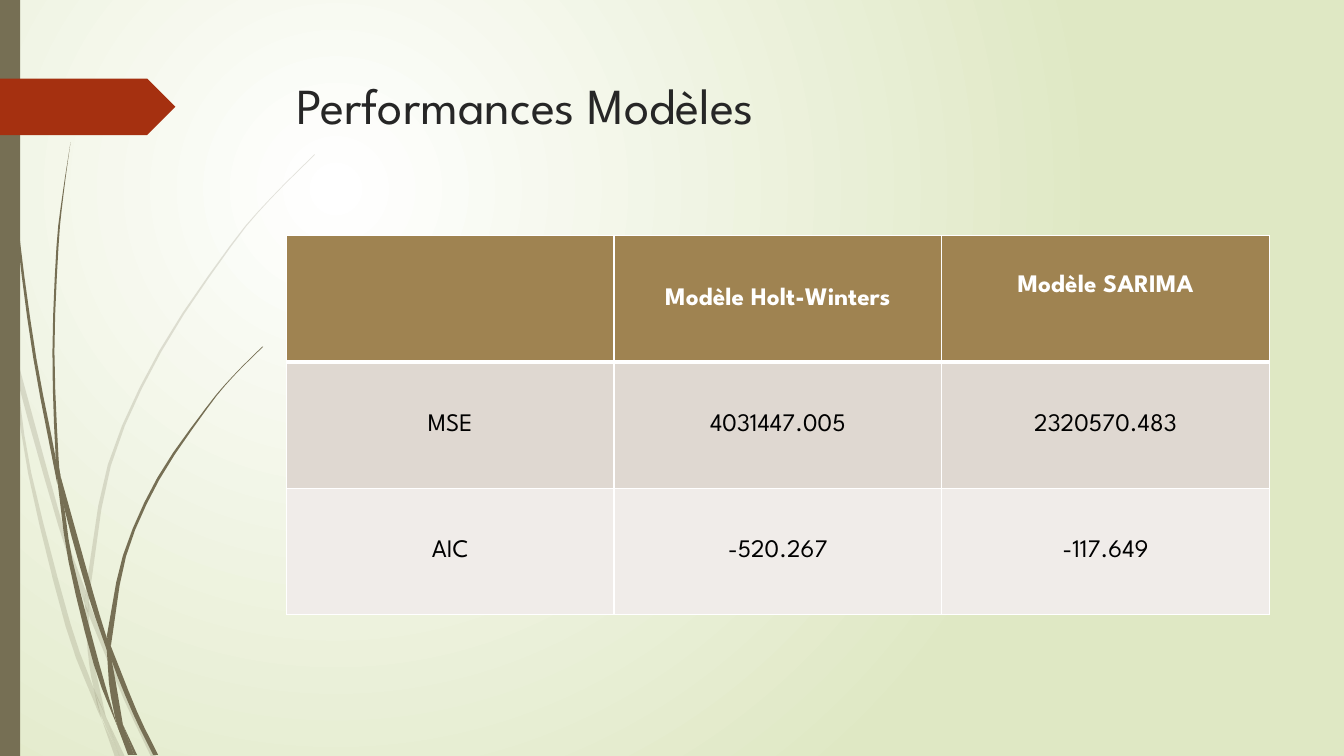
from lxml import etree
from pptx import Presentation
from pptx.dml.color import RGBColor
from pptx.enum.shapes import MSO_SHAPE
from pptx.enum.text import MSO_ANCHOR, PP_ALIGN
from pptx.oxml.ns import qn
from pptx.util import Inches, Pt

RECTANGLE, PENTAGON = MSO_SHAPE.RECTANGLE, MSO_SHAPE.PENTAGON
TOP, MIDDLE = MSO_ANCHOR.TOP, MSO_ANCHOR.MIDDLE
LEFT, CENTER = PP_ALIGN.LEFT, PP_ALIGN.CENTER

# Content
TITLE = "Performances Modèles"
ROWS = [
    ("", "Modèle Holt-Winters", "Modèle SARIMA"),
    ("MSE", "4031447.005", "2320570.483"),
    ("AIC", "-520.267", "-117.649"),
]
FONT = "League Spartan"
COLORS = {
    "glow": "FFFFFF", "meadow": "DFE8C4", "grass": "766F54", "tab": "A53010",
    "title": "262626", "header": "9F8351", "band": "DFD8D1", "plain": "F0ECE9",
    "line": "FFFFFF", "header text": "FFFFFF", "body text": "000000",
}
ROW_FILLS = ["header", "band", "plain"]

# Grass segments in inches: one edge, then the other, both running downwards
PALE_GRASS = [
    ([(0, 2.82), (0.09, 3.22), (0.11, 3.5)], [(0, 2.99), (0.1, 3.44), (0.11, 3.5)]),
    ([(0.14, 3.45), (0.62, 5.2), (0.85, 5.86)],
     [(0.14, 3.45), (0.17, 3.76), (0.58, 5.22), (0.84, 5.99)]),
    ([(0.88, 5.96), (0.92, 6.07), (1.27, 6.92), (1.55, 7.51)],
     [(0.88, 6.1), (1.23, 6.94), (1.5, 7.51)]),
    ([(1.05, 7.11), (1.24, 7.51)], [(1.05, 7.11), (1.19, 7.51)]),
    ([(0.11, 3.5), (0.17, 3.76), (0.31, 4.69), (0.7, 6.19), (0.93, 6.83), (1.01, 7.14)],
     [(0.11, 3.5), (0.28, 4.7), (0.65, 6.21), (0.92, 6.93), (1.01, 7.14)]),
    ([(0.84, 5.99), (0.87, 6.46), (0.93, 6.83), (1.05, 7.11)],
     [(0.84, 5.99), (0.88, 6.1), (0.91, 6.46), (1.05, 7.11)]),
    ([(3.12, 1.53), (2.68, 1.97), (2.28, 2.44), (1.58, 3.48), (1.07, 4.61), (0.85, 5.86)],
     [(3.12, 1.54), (2.68, 1.98), (2.29, 2.45), (1.6, 3.49), (1.1, 4.62), (0.88, 5.96)]),
    ([(1.01, 7.14), (1.14, 7.51)], [(1.01, 7.14), (1.19, 7.51)]),
    ([(0.85, 5.86), (0.84, 5.99), (0.88, 6.1)], [(0.85, 5.86), (0.88, 5.96), (0.88, 6.1)]),
    ([(0.93, 6.83), (0.99, 7.07), (1.19, 7.51)], [(0.93, 6.83), (1.05, 7.11), (1.19, 7.51)]),
]
DARK_GRASS = [
    ([(0.03, 0), (0.07, 1.1), (0.17, 2.33), (0.33, 3.55), (0.57, 4.81)],
     [(0.04, 0), (0.08, 1.09), (0.19, 2.32), (0.36, 3.55), (0.55, 4.53), (0.57, 4.81)]),
    ([(0.6, 4.72), (0.93, 5.9), (1.06, 6.33)],
     [(0.6, 4.72), (0.64, 5.05), (0.88, 5.92), (1.06, 6.45)]),
    ([(1.1, 6.41), (1.36, 7.06), (1.57, 7.49)],
     [(1.1, 6.41), (1.11, 6.56), (1.32, 7.08), (1.52, 7.49)]),
    ([(0.57, 4.77), (0.64, 5.05), (0.72, 5.56), (0.98, 6.57), (1.17, 7.22)],
     [(0.57, 4.77), (0.68, 5.57), (0.93, 6.59), (1.17, 7.22)]),
    ([(0.7, 1.41), (0.62, 1.93), (0.56, 2.45), (0.52, 3.49), (0.55, 4.49), (0.6, 4.72)],
     [(0.7, 1.41), (0.63, 1.93), (0.58, 2.45), (0.54, 3.49), (0.58, 4.53), (0.6, 4.72)]),
    ([(1.22, 7.19), (1.33, 7.49)], [(1.22, 7.19), (1.36, 7.49)]),
    ([(0.55, 4.49), (0.57, 4.77), (0.64, 5.05)], [(0.55, 4.49), (0.6, 4.72), (0.64, 5.05)]),
    ([(2.6, 3.44), (2.31, 3.73), (2.04, 4.05), (1.56, 4.74), (1.22, 5.51), (1.06, 6.31)],
     [(2.61, 3.44), (2.31, 3.74), (2.05, 4.06), (1.58, 4.76), (1.25, 5.52), (1.1, 6.41)]),
    ([(1.17, 7.22), (1.27, 7.49)], [(1.17, 7.22), (1.31, 7.49)]),
    ([(1.06, 6.45), (1.1, 6.91), (1.22, 7.19)], [(1.06, 6.45), (1.11, 6.56), (1.22, 7.19)]),
    ([(1.06, 6.31), (1.06, 6.45), (1.11, 6.56)], [(1.06, 6.31), (1.1, 6.41), (1.11, 6.56)]),
    ([(1.1, 6.91), (1.17, 7.22), (1.3, 7.49)], [(1.1, 6.91), (1.22, 7.19), (1.33, 7.49)]),
]

# Layout in inches
WIDTH, HEIGHT = 13.33, 7.5
CONTENT_LEFT, CONTENT_WIDTH = 2.84, 9.75
TITLE_TOP, TITLE_HEIGHT = 0.69, 1.4
TABLE_TOP, TABLE_HEIGHT = 2.34, 3.76
STEPS = 3


def rgb(name):
    return RGBColor.from_string(COLORS[name])


def write(frame, text, size=18, color="body text", bold=False, align=CENTER):
    paragraph = frame.paragraphs[0]
    paragraph.alignment = align
    run = paragraph.add_run()
    run.text = text
    run.font.name, run.font.size, run.font.bold = FONT, Pt(size), bold
    run.font.color.rgb = rgb(color)


def paint(shape, color, opacity=100):
    shape.shadow.inherit = False
    shape.fill.solid()
    shape.fill.fore_color.rgb = rgb(color)
    shape.line.fill.background()
    if opacity < 100:
        tint = shape._element.spPr.find(qn("a:solidFill"))[0]
        etree.SubElement(tint, qn("a:alpha"), val=str(opacity * 1000))


def mirror(point, center):
    return tuple(2 * c - p for p, c in zip(point, center))


def smooth_edge(points):
    """Run a Catmull-Rom curve through the points; two points stay straight."""
    if len(points) == 2:
        return points
    padded = [mirror(points[1], points[0]), *points, mirror(points[-2], points[-1])]
    curve = [points[0]]
    for a, b, c, d in zip(padded, padded[1:], padded[2:], padded[3:]):
        for step in range(1, STEPS + 1):
            t = step / STEPS
            curve.append(tuple(
                0.5 * (2 * q + (r - p) * t + (2 * p - 5 * q + 4 * r - s) * t ** 2
                       + (3 * q - p - 3 * r + s) * t ** 3)
                for p, q, r, s in zip(a, b, c, d)))
    return curve


def add_blade(slide, first_edge, second_edge, opacity):
    outline = smooth_edge(first_edge) + smooth_edge(second_edge)[::-1]
    points = [(Inches(x), Inches(y)) for x, y in outline]
    builder = slide.shapes.build_freeform(*points[0])
    builder.add_line_segments(points[1:], close=True)
    paint(builder.convert_to_shape(), "grass", opacity)


def set_borders(cell, **widths):
    properties = cell._tc.get_or_add_tcPr()
    for index, (side, width) in enumerate(widths.items()):
        line = etree.Element(qn(f"a:ln{side}"), w=str(Pt(width)))
        fill = etree.SubElement(line, qn("a:solidFill"))
        etree.SubElement(fill, qn("a:srgbClr"), val=COLORS["line"])
        properties.insert(index, line)


def set_background(slide):
    fill = slide.background.fill
    fill.gradient()
    for stop, position, color in zip(fill.gradient_stops, (0, 1), ("glow", "meadow")):
        stop.position = position
        stop.color.rgb = rgb(color)
    gradient = slide.background._cSld.find(".//" + qn("a:gradFill"))
    circle = etree.Element(qn("a:path"), path="circle")
    etree.SubElement(circle, qn("a:fillToRect"), l="50000", t="50000", r="100000", b="100000")
    gradient.replace(gradient.find(qn("a:lin")), circle)


def add_table(slide):
    table = slide.shapes.add_table(
        len(ROWS), len(ROWS[0]), Inches(CONTENT_LEFT), Inches(TABLE_TOP),
        Inches(CONTENT_WIDTH), Inches(TABLE_HEIGHT)).table
    for row, values in enumerate(ROWS):
        header = row == 0
        for column, text in enumerate(values):
            cell = table.cell(row, column)
            cell.vertical_anchor = MIDDLE
            cell.fill.solid()
            cell.fill.fore_color.rgb = rgb(ROW_FILLS[row])
            set_borders(cell, L=1, R=1, T=3 if row == 1 else 1, B=3 if header else 1)
            if text:
                write(cell.text_frame, text, bold=header,
                      color="header text" if header else "body text")
    # The last heading sits a little above the middle
    table.cell(0, len(ROWS[0]) - 1).margin_bottom = Inches(0.3)


def main():
    presentation = Presentation()
    presentation.slide_width, presentation.slide_height = Inches(WIDTH), Inches(HEIGHT)
    slide = presentation.slides.add_slide(presentation.slide_layouts[6])
    set_background(slide)

    # Grass, side bar and arrow tab
    for blades, opacity in ((PALE_GRASS, 20), (DARK_GRASS, 100)):
        for first_edge, second_edge in blades:
            add_blade(slide, first_edge, second_edge, opacity)
    bar = slide.shapes.add_shape(RECTANGLE, 0, 0, Inches(0.2), Inches(HEIGHT))
    paint(bar, "grass")
    tab = slide.shapes.add_shape(PENTAGON, 0, Inches(0.78), Inches(1.74), Inches(0.56))
    paint(tab, "tab")

    # Title
    title = slide.shapes.add_textbox(Inches(CONTENT_LEFT), Inches(TITLE_TOP),
                                     Inches(CONTENT_WIDTH), Inches(TITLE_HEIGHT))
    title.text_frame.word_wrap = True
    title.text_frame.vertical_anchor = TOP
    write(title.text_frame, TITLE, size=36, color="title", align=LEFT)

    add_table(slide)
    presentation.save("out.pptx")


if __name__ == "__main__":
    main()
